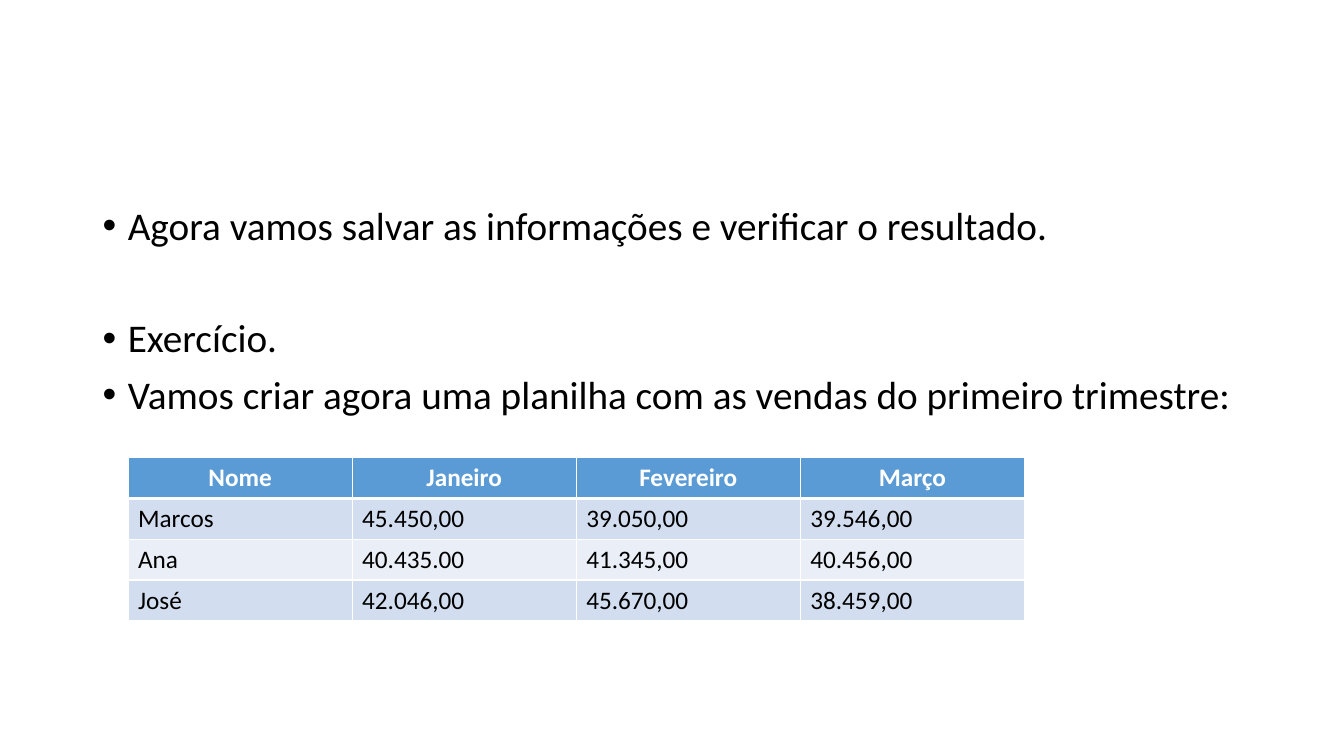
import dataclasses

import lxml.etree
import pptx
import pptx.dml.color
import pptx.enum.text
import pptx.oxml.ns
import pptx.slide
import pptx.table
import pptx.text.text
import pptx.util

Inches = pptx.util.Inches
RGBColor = pptx.dml.color.RGBColor
ALIGN = pptx.enum.text.PP_ALIGN

BLACK = RGBColor(0x00, 0x00, 0x00)
WHITE = RGBColor(0xFF, 0xFF, 0xFF)
HEADER_BLUE = RGBColor(0x5B, 0x9B, 0xD5)
BAND_DARK = RGBColor(0xD2, 0xDE, 0xEF)
BAND_LIGHT = RGBColor(0xEA, 0xEF, 0xF7)
FONT = "Calibri"


@dataclasses.dataclass(frozen=True)
class Bullet:
    text: str
    space_before: float


@dataclasses.dataclass(frozen=True)
class RowStyle:
    fill: RGBColor
    color: RGBColor
    bold: bool
    align: ALIGN
    top: float
    bottom: float


BULLETS = [
    Bullet("Agora vamos salvar as informações e verificar o resultado.", 0),
    Bullet("Exercício.", 50),
    Bullet("Vamos criar agora uma planilha com as vendas do primeiro trimestre:", 10),
]
SALES = [
    ("Nome", "Janeiro", "Fevereiro", "Março"),
    ("Marcos", "45.450,00", "39.050,00", "39.546,00"),
    ("Ana", "40.435.00", "41.345,00", "40.456,00"),
    ("José", "42.046,00", "45.670,00", "38.459,00"),
]
HEADER = RowStyle(HEADER_BLUE, WHITE, True, ALIGN.CENTER, 1, 3)
FIRST = RowStyle(BAND_DARK, BLACK, False, ALIGN.LEFT, 3, 1)
LIGHT = RowStyle(BAND_LIGHT, BLACK, False, ALIGN.LEFT, 1, 1)
DARK = RowStyle(BAND_DARK, BLACK, False, ALIGN.LEFT, 1, 1)
ROW_STYLES = [HEADER, FIRST, LIGHT, DARK]


def write_text(
    para: pptx.text.text._Paragraph,
    text: str,
    *,
    size: float,
    color: RGBColor,
    bold: bool = False,
    align: ALIGN = ALIGN.LEFT,
) -> None:
    para.alignment = align
    span = para.add_run()
    span.text = text
    span.font.name = FONT
    span.font.size = pptx.util.Pt(size)
    span.font.bold = bold
    span.font.color.rgb = color


def add_element(parent: lxml.etree._Element, tag: str, **attributes: str) -> lxml.etree._Element:
    return lxml.etree.SubElement(parent, pptx.oxml.ns.qn(tag), attributes)


def add_bullets(page: pptx.slide.Slide, bullets: list[Bullet]) -> None:
    box = page.shapes.add_textbox(Inches(0.92), Inches(2), Inches(11.5), Inches(4.76))
    frame = box.text_frame
    frame.word_wrap = True
    for index, bullet in enumerate(bullets):
        para = frame.paragraphs[0] if index == 0 else frame.add_paragraph()
        properties = para._p.get_or_add_pPr()
        properties.set("marL", str(Inches(0.25)))
        properties.set("indent", str(-Inches(0.25)))
        add_element(properties, "a:buFont", typeface="Arial")
        add_element(properties, "a:buChar", char="•")
        para.line_spacing = 0.9
        para.space_before = pptx.util.Pt(bullet.space_before)
        write_text(para, bullet.text, size=28, color=BLACK)


def style_cell(cell: pptx.table._Cell, style: RowStyle) -> None:
    properties = cell._tc.get_or_add_tcPr()
    borders = {"a:lnL": 1, "a:lnR": 1, "a:lnT": style.top, "a:lnB": style.bottom}
    for tag, width in borders.items():
        line = add_element(properties, tag, w=str(pptx.util.Pt(width)))
        add_element(add_element(line, "a:solidFill"), "a:srgbClr", val=str(WHITE))
    cell.fill.solid()
    cell.fill.fore_color.rgb = style.fill


def add_sales_table(page: pptx.slide.Slide) -> None:
    frame = page.shapes.add_table(
        len(SALES), len(SALES[0]), Inches(1.27), Inches(4.54), Inches(8.89), Inches(1.62)
    )
    for row, values, style in zip(frame.table.rows, SALES, ROW_STYLES):
        for cell, value in zip(row.cells, values):
            style_cell(cell, style)
            write_text(
                cell.text_frame.paragraphs[0],
                value,
                size=18,
                color=style.color,
                bold=style.bold,
                align=style.align,
            )


def main() -> None:
    deck = pptx.Presentation()
    deck.slide_width = Inches(13.33)
    deck.slide_height = Inches(7.5)
    page = deck.slides.add_slide(deck.slide_layouts[6])
    add_bullets(page, BULLETS)
    add_sales_table(page)
    deck.save("out.pptx")


if __name__ == "__main__":
    main()
